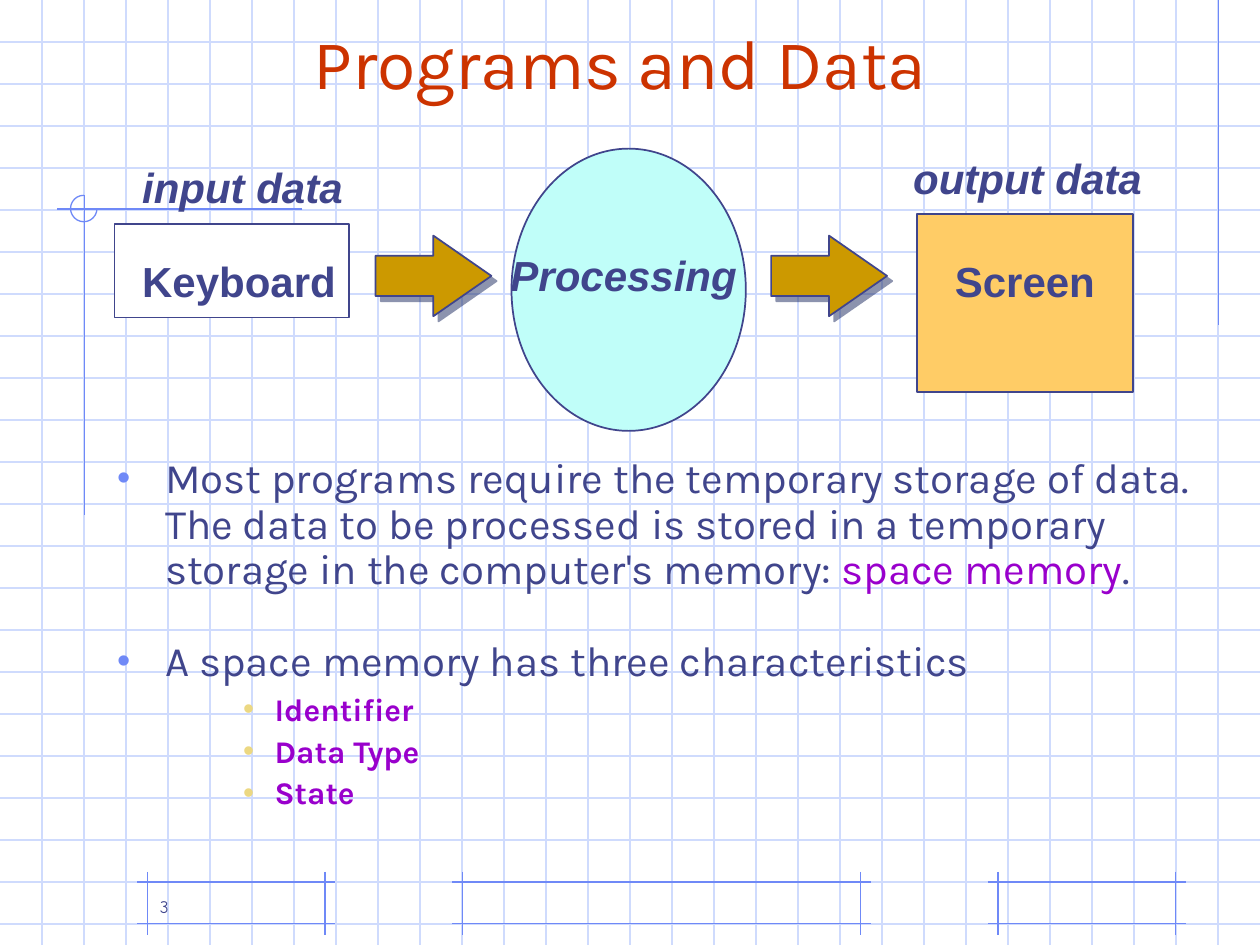
from lxml import etree
from pptx import Presentation
from pptx.dml.color import RGBColor
from pptx.enum.shapes import MSO_CONNECTOR, MSO_SHAPE
from pptx.enum.text import MSO_ANCHOR, MSO_AUTO_SIZE, PP_ALIGN
from pptx.oxml.ns import qn
from pptx.util import Inches, Pt

STRAIGHT = MSO_CONNECTOR.STRAIGHT
RECTANGLE, OVAL = MSO_SHAPE.RECTANGLE, MSO_SHAPE.OVAL
RIGHT_ARROW, ARC = MSO_SHAPE.RIGHT_ARROW, MSO_SHAPE.ARC
TOP, BOTTOM = MSO_ANCHOR.TOP, MSO_ANCHOR.BOTTOM
LEFT, CENTER = PP_ALIGN.LEFT, PP_ALIGN.CENTER
FIXED, GROW = MSO_AUTO_SIZE.NONE, MSO_AUTO_SIZE.SHAPE_TO_FIT_TEXT

NAVY = RGBColor(0x40, 0x45, 0x8C)
BLUE = RGBColor(0x6F, 0x89, 0xF7)
PALE_BLUE = RGBColor(0xCF, 0xDB, 0xFD)
RED = RGBColor(0xCC, 0x33, 0x00)
PURPLE = RGBColor(0x99, 0x00, 0xCC)
YELLOW = RGBColor(0xEC, 0xD8, 0x82)
WHITE = RGBColor(0xFF, 0xFF, 0xFF)
CYAN = RGBColor(0xC0, 0xFE, 0xF9)
ORANGE = RGBColor(0xFF, 0xCC, 0x66)
GOLD = RGBColor(0xCC, 0x99, 0x00)
SHADOW = RGBColor(0x1B, 0x28, 0x5F)

GRID_STEP = 1 / 3


def place(shape, left, top, width, height):
    shape.left, shape.top = Inches(left), Inches(top)
    shape.width, shape.height = Inches(width), Inches(height)


def set_font(font, name, size, color, bold=False, italic=False):
    font.name, font.size = name, Pt(size)
    font.bold, font.italic = bold, italic
    font.color.rgb = color


def add_rule(slide, x1, y1, x2, y2, color=BLUE):
    rule = slide.shapes.add_connector(
        STRAIGHT, Inches(x1), Inches(y1), Inches(x2), Inches(y2))
    rule.line.color.rgb = color
    rule.line.width = Pt(0.75)
    etree.SubElement(rule.element.spPr, qn("a:effectLst"))


def add_grid(slide):
    for row in range(1, 23):
        add_rule(slide, 0, row * GRID_STEP, 10, row * GRID_STEP, PALE_BLUE)
    for column in range(1, 30):
        add_rule(slide, column * GRID_STEP, 0, column * GRID_STEP, 7.5, PALE_BLUE)


def add_footer_frame(slide, left, right):
    for y in (7, 7.33):
        add_rule(slide, left - 0.08, y, right + 0.08, y)
    for x in (left, right):
        add_rule(slide, x, 6.92, x, 7.42)


def add_corner_marks(slide):
    add_rule(slide, 9.67, 0, 9.67, 2.58)
    add_rule(slide, 2.4, 1.66, 0.45, 1.66)
    add_rule(slide, 0.67, 1.55, 0.67, 4.09)
    circle = add_figure(slide, ARC, (0.56, 1.55, 0.21, 0.21), None, BLUE, 0.75)
    circle.adjustments[0] = 0
    circle.adjustments[1] = 162


def add_figure(slide, kind, box, fill, outline=NAVY, weight=1):
    figure = slide.shapes.add_shape(kind, *map(Inches, box))
    figure.shadow.inherit = False
    if fill is None:
        figure.fill.background()
    else:
        figure.fill.solid()
        figure.fill.fore_color.rgb = fill
    figure.line.color.rgb = outline
    figure.line.width = Pt(weight)
    return figure


def add_flow_arrow(slide, left):
    arrow = add_figure(slide, RIGHT_ARROW, (left, 1.87, 0.92, 0.64), GOLD)
    arrow.adjustments[0] = 0.5
    arrow.adjustments[1] = 0.72
    effects = arrow.element.spPr.find(qn("a:effectLst"))
    shadow = etree.SubElement(effects, qn("a:outerShdw"), dist=str(Pt(4.2)),
                              dir="2700000", algn="ctr", rotWithShape="0")
    color = etree.SubElement(shadow, qn("a:srgbClr"), val=str(SHADOW))
    etree.SubElement(color, qn("a:alpha"), val="50000")


def add_label(slide, text, box, align=LEFT, italic=False):
    label = slide.shapes.add_textbox(*map(Inches, box))
    frame = label.text_frame
    frame.word_wrap = False
    frame.auto_size = GROW
    paragraph = frame.paragraphs[0]
    paragraph.text = text
    paragraph.alignment = align
    set_font(paragraph.font, "Arial", 24, NAVY, bold=True, italic=italic)


def add_page_number(slide, number):
    box = slide.shapes.add_textbox(
        Inches(1.17), Inches(6.83), Inches(2.08), Inches(0.5))
    frame = box.text_frame
    frame.word_wrap = True
    frame.vertical_anchor = BOTTOM
    frame.text = number
    set_font(frame.paragraphs[0].font, "Comic Neue", 10, NAVY)


def set_bullet(paragraph, color, percent, margin, hanging):
    properties = paragraph._p.get_or_add_pPr()
    properties.set("marL", str(Inches(margin)))
    properties.set("indent", str(-Inches(hanging)))
    bullet_color = etree.SubElement(properties, qn("a:buClr"))
    etree.SubElement(bullet_color, qn("a:srgbClr"), val=str(color))
    etree.SubElement(properties, qn("a:buSzPct"), val=str(percent * 1000))
    etree.SubElement(properties, qn("a:buChar"), char="•")


def fill_title(title):
    title.element.getparent().append(title.element)
    place(title, 0.67, 0.33, 8.5, 0.54)
    frame = title.text_frame
    frame.auto_size = FIXED
    frame.vertical_anchor = BOTTOM
    frame.text = "Programs and Data"
    heading = frame.paragraphs[0]
    heading.alignment = CENTER
    set_font(heading.font, "Karla", 40, RED)


def fill_body(body):
    body.element.getparent().append(body.element)
    place(body, 0.83, 3.58, 9.17, 3.17)
    frame = body.text_frame
    frame.auto_size = FIXED
    frame.vertical_anchor = TOP
    points = [
        (0, 0, [("Most programs require the temporary storage of data. The data "
                 "to be processed is stored in a temporary storage in the "
                 "computer's memory: ", NAVY),
                ("space memory", PURPLE), (".", NAVY)]),
        (0, 27, [("A space memory has three characteristics", NAVY)]),
    ] + [(2, 4.5, [(trait, PURPLE)])
         for trait in ("Identifier", "Data Type", "State")]
    for index, (level, space_before, runs) in enumerate(points):
        point = frame.add_paragraph() if index else frame.paragraphs[0]
        point.level = level
        point.alignment = LEFT
        point.line_spacing = 0.9
        point.space_before = Pt(space_before)
        if level:
            set_bullet(point, YELLOW, 100, 1.25, 0.25)
        else:
            set_bullet(point, BLUE, 90, 0.38, 0.38)
        set_font(point.font, "Karla", 18 if level else 24, runs[0][1],
                 bold=level > 0)
        for text, color in runs:
            run = point.add_run()
            run.text = text
            if color != runs[0][1]:
                run.font.color.rgb = color


def add_data_flow(slide):
    add_figure(slide, OVAL, (4.06, 1.18, 1.86, 2.24), CYAN)
    add_figure(slide, RECTANGLE, (0.91, 1.78, 1.86, 0.74), WHITE)
    add_figure(slide, RECTANGLE, (7.28, 1.7, 1.71, 1.41), ORANGE)
    add_label(slide, "Keyboard", (1.03, 1.98, 1.8, 0.5))
    add_label(slide, "Screen", (7.48, 1.98, 1.36, 0.5))
    add_label(slide, "Processing", (3.92, 1.93, 2.06, 0.5), CENTER, italic=True)
    add_label(slide, "input data", (1.03, 1.23, 1.86, 0.5), italic=True)
    add_label(slide, "output data", (7.1, 1.16, 2.11, 0.5), CENTER, italic=True)
    for left in (6.12, 2.98):
        add_flow_arrow(slide, left)


def main():
    presentation = Presentation()
    presentation.slide_width, presentation.slide_height = Inches(10), Inches(7.5)
    slide = presentation.slides.add_slide(presentation.slide_layouts[1])
    add_grid(slide)
    for left, right in ((3.67, 6.83), (7.92, 9.33), (1.17, 2.58)):
        add_footer_frame(slide, left, right)
    add_corner_marks(slide)
    fill_title(slide.shapes.title)
    fill_body(slide.placeholders[1])
    add_data_flow(slide)
    add_page_number(slide, "3")
    presentation.save("out.pptx")


if __name__ == "__main__":
    main()
